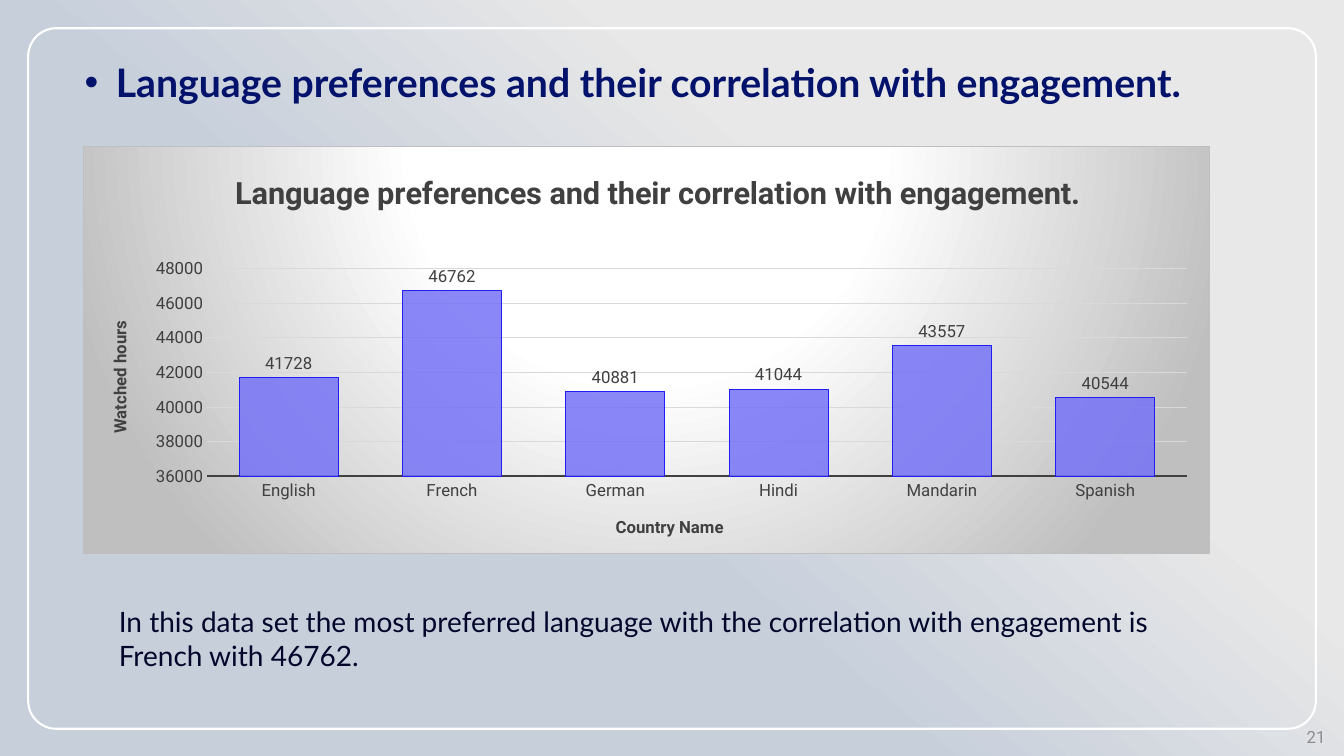
from dataclasses import dataclass

from lxml import etree
from pptx import Presentation
from pptx.chart.axis import CategoryAxis, ValueAxis
from pptx.chart.chart import Chart
from pptx.chart.data import CategoryChartData
from pptx.dml.color import RGBColor
from pptx.enum.chart import XL_CHART_TYPE, XL_LABEL_POSITION, XL_TICK_MARK
from pptx.enum.shapes import MSO_SHAPE
from pptx.enum.text import MSO_ANCHOR, MSO_AUTO_SIZE, PP_ALIGN
from pptx.oxml import parse_xml
from pptx.oxml.ns import nsdecls, qn
from pptx.shapes.autoshape import Shape
from pptx.slide import Slide
from pptx.util import Inches, Pt

COLUMNS = XL_CHART_TYPE.COLUMN_CLUSTERED
OUTSIDE = XL_LABEL_POSITION.OUTSIDE_END
NO_TICK = XL_TICK_MARK.NONE
ROUNDED = MSO_SHAPE.ROUNDED_RECTANGLE
TOP, MIDDLE = MSO_ANCHOR.TOP, MSO_ANCHOR.MIDDLE
FIXED, GROW = MSO_AUTO_SIZE.NONE, MSO_AUTO_SIZE.SHAPE_TO_FIT_TEXT
LEFT, RIGHT = PP_ALIGN.LEFT, PP_ALIGN.RIGHT

WIDTH, HEIGHT = Inches(13.33), Inches(7.5)
GRID_COLUMNS, GRID_ROWS = 160, 90
TITLE_ONLY = 5
COLORS = {
    "light": "E8E8E8", "mist": "C7CFDB", "white": "FFFFFF", "number": "8C8C8C",
    "heading": "03126A", "finding": "01072B", "label": "404040", "grid": "D9D9D9",
    "edge": "BFBFBF", "bar": "7673F7", "outline": "221DF2",
}
HEADING = "Language preferences and their correlation with engagement."
WATCHED_HOURS = {
    "English": 41728, "French": 46762, "German": 40881,
    "Hindi": 41044, "Mandarin": 43557, "Spanish": 40544,
}


@dataclass(frozen=True)
class Area:
    column: float
    row: float
    columns: float
    rows: float

    def bounds(self) -> tuple[int, int, int, int]:
        return (
            round(WIDTH * self.column / GRID_COLUMNS),
            round(HEIGHT * self.row / GRID_ROWS),
            round(WIDTH * self.columns / GRID_COLUMNS),
            round(HEIGHT * self.rows / GRID_ROWS),
        )


@dataclass(frozen=True)
class Passage:
    text: str
    area: Area
    size: int
    color: str
    font: str = "Lato"
    bold: bool = False
    align: PP_ALIGN = LEFT
    anchor: MSO_ANCHOR = TOP
    fit: MSO_AUTO_SIZE = GROW


@dataclass(frozen=True)
class Caption:
    text: str
    size: int
    x: float
    y: float


FRAME = Area(3.36, 3.36, 153.3, 83.4)
CHART = Area(9.84, 17.4, 134.2, 48.6)
TITLE = Passage(HEADING, Area(8.88, 6.36, 141.5, 6.84), 28, "heading", bold=True)
NOTES = (
    Passage("21", Area(123, 86.16, 36, 3), 12, "number", "Roboto",
            align=RIGHT, anchor=MIDDLE, fit=FIXED),
    Passage("In this data set the most preferred language with the correlation "
            "with engagement is French with 46762.",
            Area(12.96, 71.4, 131, 9.24), 20, "finding"),
)
CHART_TITLE = Caption(HEADING, 22, 0.13, 0.05)
COUNTRY_TITLE = Caption("Country Name", 12, 0.47, 0.9)
HOURS_TITLE = Caption("Watched hours", 12, 0.02, 0.42)


def rgb(name: str) -> RGBColor:
    return RGBColor.from_string(COLORS[name])


def set_font(font, size: int, color: str, name: str = "Roboto", bold: bool = False) -> None:
    font.size, font.name, font.bold = Pt(size), name, bold
    font.color.rgb = rgb(color)


def set_line(line, color: str, width: float) -> None:
    line.color.rgb = rgb(color)
    line.width = Pt(width)


def write(box: Shape, passage: Passage) -> None:
    box.left, box.top, box.width, box.height = passage.area.bounds()
    frame = box.text_frame
    frame.text = passage.text
    frame.word_wrap = True
    frame.auto_size = passage.fit
    frame.vertical_anchor = passage.anchor
    para = frame.paragraphs[0]
    para.alignment = passage.align
    set_font(para.font, passage.size, passage.color, passage.font, passage.bold)


def add_bullet(box: Shape) -> None:
    properties = box.text_frame.paragraphs[0]._p.get_or_add_pPr()
    properties.set("marL", str(Inches(0.31)))
    properties.set("indent", str(-Inches(0.31)))
    mark = parse_xml(f'<a:buChar {nsdecls("a")} char="•"/>')
    typeface = parse_xml(f'<a:buFont {nsdecls("a")} typeface="Arial"/>')
    properties.insert(0, mark)
    properties.insert(0, typeface)


def paint_background(page: Slide) -> None:
    fill = page.background.fill
    fill.gradient()
    fill.gradient_angle = 230
    for stop, (position, color) in zip(fill.gradient_stops, ((0.33, "light"), (0.59, "mist"))):
        stop.position = position
        stop.color.rgb = rgb(color)


def place(layout, inner: bool = False, **shares: float) -> None:
    manual = etree.SubElement(layout, qn("c:manualLayout"))
    if inner:
        etree.SubElement(manual, qn("c:layoutTarget")).set("val", "inner")
    for side in ("x", "y"):
        etree.SubElement(manual, qn(f"c:{side}Mode")).set("val", "edge")
    for name, share in shares.items():
        etree.SubElement(manual, qn(f"c:{name}")).set("val", str(share))


def fresh_layout(parent, index: int):
    old = parent.find(qn("c:layout"))
    if old is not None:
        parent.remove(old)
    layout = parse_xml(f'<c:layout {nsdecls("c")}/>')
    parent.insert(index, layout)
    return layout


def add_caption(owner: Chart | CategoryAxis | ValueAxis, caption: Caption) -> None:
    owner.has_title = True
    title = owner.chart_title if isinstance(owner, Chart) else owner.axis_title
    title.text_frame.text = caption.text
    set_font(title.text_frame.paragraphs[0].font, caption.size, "label", bold=True)
    place(fresh_layout(title._element, 1), x=caption.x, y=caption.y)


def style_axis(axis: CategoryAxis | ValueAxis, caption: Caption) -> None:
    axis.major_tick_mark = axis.minor_tick_mark = NO_TICK
    set_font(axis.tick_labels.font, 12, "label")
    add_caption(axis, caption)


def paint_chart_area(chart: Chart) -> None:
    stops = "".join(
        f'<a:gs pos="{position}000"><a:srgbClr val="{COLORS[color]}"/></a:gs>'
        for position, color in ((0, "white"), (39, "white"), (100, "edge"))
    )
    area = parse_xml(
        f'<c:spPr {nsdecls("c", "a")}><a:gradFill><a:gsLst>{stops}</a:gsLst>'
        '<a:path path="circle"><a:fillToRect l="50000" t="-80000" r="50000" b="180000"/>'
        '</a:path></a:gradFill><a:ln w="9525"><a:solidFill>'
        f'<a:srgbClr val="{COLORS["edge"]}"/></a:solidFill></a:ln></c:spPr>'
    )
    chart._chartSpace.find(qn("c:chart")).addnext(area)


def add_hours_chart(page: Slide) -> None:
    hours = CategoryChartData()
    hours.categories = list(WATCHED_HOURS)
    hours.add_series("Series 1", list(WATCHED_HOURS.values()))
    chart = page.shapes.add_chart(COLUMNS, *CHART.bounds(), hours).chart
    chart.has_legend = False
    chart.font.size, chart.font.name = Pt(10), "Roboto"
    add_caption(chart, CHART_TITLE)
    style_axis(chart.category_axis, COUNTRY_TITLE)
    set_line(chart.category_axis.format.line, "label", 1.5)
    scale = chart.value_axis
    style_axis(scale, HOURS_TITLE)
    scale.minimum_scale, scale.maximum_scale, scale.major_unit = 36000, 48000, 2000
    scale.format.line.fill.background()
    set_line(scale.major_gridlines.format.line, "grid", 0.75)
    plot = chart.plots[0]
    plot.gap_width, plot.vary_by_categories = 65, False
    bars = plot.series[0]
    bars.format.fill.solid()
    bars.format.fill.fore_color.rgb = rgb("bar")
    tint = bars.format.fill._xPr.find(f'{qn("a:solidFill")}/{qn("a:srgbClr")}')
    etree.SubElement(tint, qn("a:alpha")).set("val", "85000")
    set_line(bars.format.line, "outline", 0.75)
    labels = bars.data_labels
    labels.show_value, labels.position = True, OUTSIDE
    set_font(labels.font, 12, "label")
    plot_area = chart._chartSpace.find(f'{qn("c:chart")}/{qn("c:plotArea")}')
    place(fresh_layout(plot_area, 0), inner=True, x=0.11, y=0.3, w=0.87, h=0.51)
    paint_chart_area(chart)


def main() -> None:
    deck = Presentation()
    deck.slide_width, deck.slide_height = WIDTH, HEIGHT
    page = deck.slides.add_slide(deck.slide_layouts[TITLE_ONLY])
    paint_background(page)
    frame = page.shapes.add_shape(ROUNDED, *FRAME.bounds())
    frame.adjustments[0] = 0.04
    frame.shadow.inherit = False
    frame.fill.background()
    set_line(frame.line, "white", 1.5)
    write(page.shapes.title, TITLE)
    add_bullet(page.shapes.title)
    add_hours_chart(page)
    for note in NOTES:
        write(page.shapes.add_textbox(*note.area.bounds()), note)
    deck.save("out.pptx")


if __name__ == "__main__":
    main()
